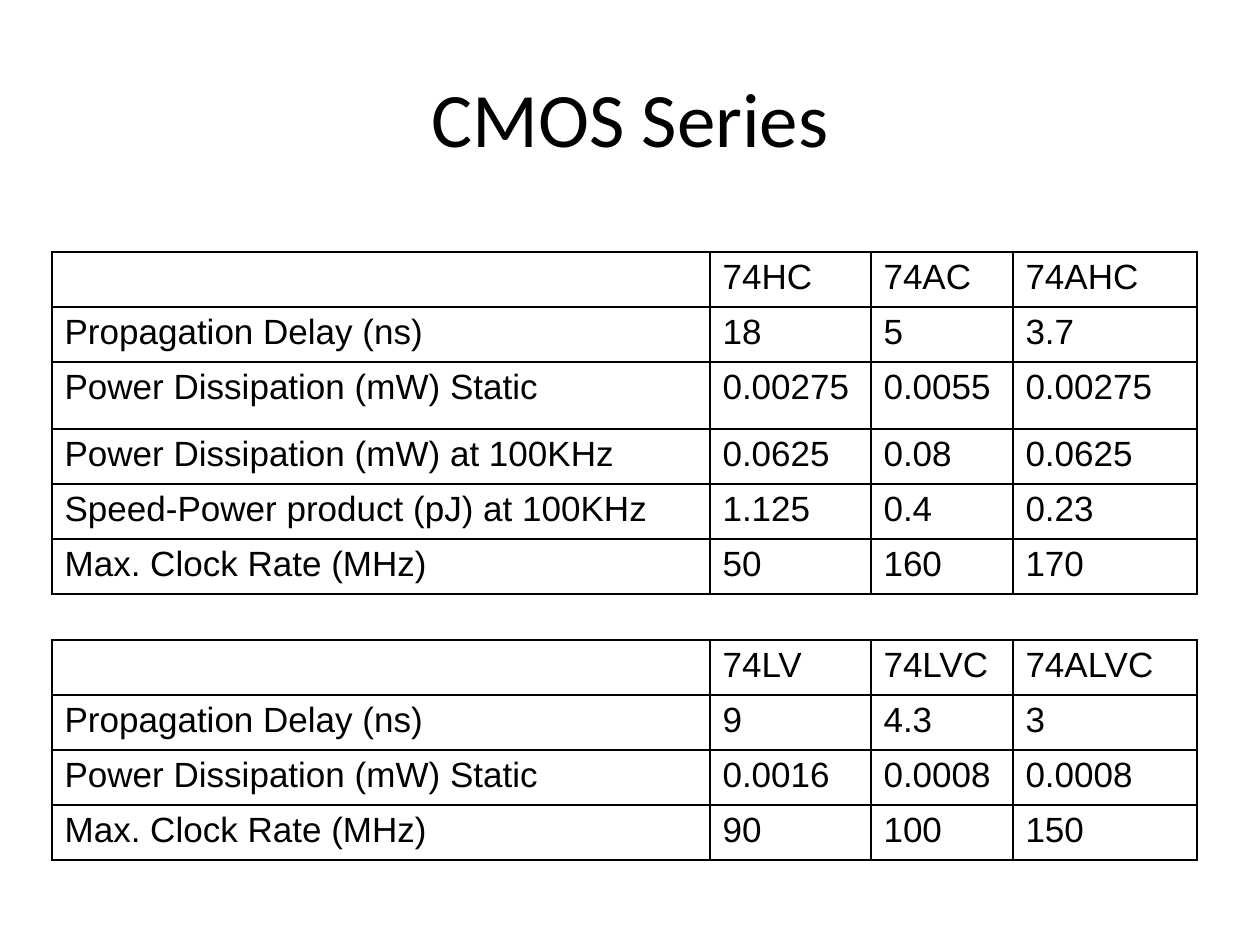
from lxml.etree import SubElement
from pptx import Presentation
from pptx.dml.color import RGBColor
from pptx.enum.text import MSO_ANCHOR, PP_ALIGN
from pptx.oxml.ns import qn
from pptx.util import Emu, Pt

EMU_PER_PX = 914400 // 126
BLACK = "000000"
COLUMN_WIDTHS = [658, 161, 142, 184]
ROW_HEIGHT = 55
TABLE_LEFT = 52

STANDARD_SERIES = [
    ["", "74HC", "74AC", "74AHC"],
    ["Propagation Delay (ns)", "18", "5", "3.7"],
    ["Power Dissipation (mW) Static", "0.00275", "0.0055", "0.00275"],
    ["Power Dissipation (mW) at 100KHz", "0.0625", "0.08", "0.0625"],
    ["Speed-Power product (pJ) at 100KHz", "1.125", "0.4", "0.23"],
    ["Max. Clock Rate (MHz)", "50", "160", "170"],
]
LOW_VOLTAGE_SERIES = [
    ["", "74LV", "74LVC", "74ALVC"],
    ["Propagation Delay (ns)", "9", "4.3", "3"],
    ["Power Dissipation (mW) Static", "0.0016", "0.0008", "0.0008"],
    ["Max. Clock Rate (MHz)", "90", "100", "150"],
]


def px(length):
    return Emu(length * EMU_PER_PX)


def color(value):
    return RGBColor.from_string(value)


def add_run(paragraph, text, font_name, size):
    run = paragraph.add_run()
    run.text = text
    run.font.name = font_name
    run.font.size = Pt(size)
    run.font.color.rgb = color(BLACK)


def set_title(slide, text):
    title = slide.shapes.title
    title.left, title.top, title.width, title.height = map(px, (63, 38, 1134, 158))
    title.text_frame.vertical_anchor = MSO_ANCHOR.MIDDLE
    paragraph = title.text_frame.paragraphs[0]
    paragraph.alignment = PP_ALIGN.CENTER
    add_run(paragraph, text, "Calibri", 44)


def set_borders(cell):
    properties = cell._tc.get_or_add_tcPr()
    for side in ("lnL", "lnR", "lnT", "lnB"):
        line = SubElement(properties, qn(f"a:{side}"), w=str(Pt(1)))
        fill = SubElement(line, qn("a:solidFill"))
        SubElement(fill, qn("a:srgbClr"), val=BLACK)


def fill_cell(cell, text):
    set_borders(cell)
    cell.fill.background()
    if not text:
        return
    paragraph = cell.text_frame.paragraphs[0]
    paragraph.alignment = PP_ALIGN.JUSTIFY
    properties = paragraph._p.get_or_add_pPr()
    properties.set("marL", str(px(48)))
    properties.set("indent", str(px(-48)))
    add_run(paragraph, text, "Arial", 20)


def add_series_table(slide, top, rows, row_heights):
    frame = slide.shapes.add_table(
        len(rows), len(COLUMN_WIDTHS), px(TABLE_LEFT), px(top),
        px(sum(COLUMN_WIDTHS)), px(sum(row_heights)))
    table = frame.table
    table.first_row = False
    table.horz_banding = False
    for column, width in zip(table.columns, COLUMN_WIDTHS):
        column.width = px(width)
    for row, height, texts in zip(table.rows, row_heights, rows):
        row.height = px(height)
        for cell, text in zip(row.cells, texts):
            fill_cell(cell, text)


def main():
    presentation = Presentation()
    presentation.slide_width = px(1260)
    presentation.slide_height = px(945)
    slide = presentation.slides.add_slide(presentation.slide_layouts[5])
    set_title(slide, "CMOS Series")

    standard_heights = [ROW_HEIGHT] * len(STANDARD_SERIES)
    standard_heights[2] = 67
    add_series_table(slide, 252, STANDARD_SERIES, standard_heights)
    add_series_table(slide, 640, LOW_VOLTAGE_SERIES,
                     [ROW_HEIGHT] * len(LOW_VOLTAGE_SERIES))
    presentation.save("out.pptx")


if __name__ == "__main__":
    main()
